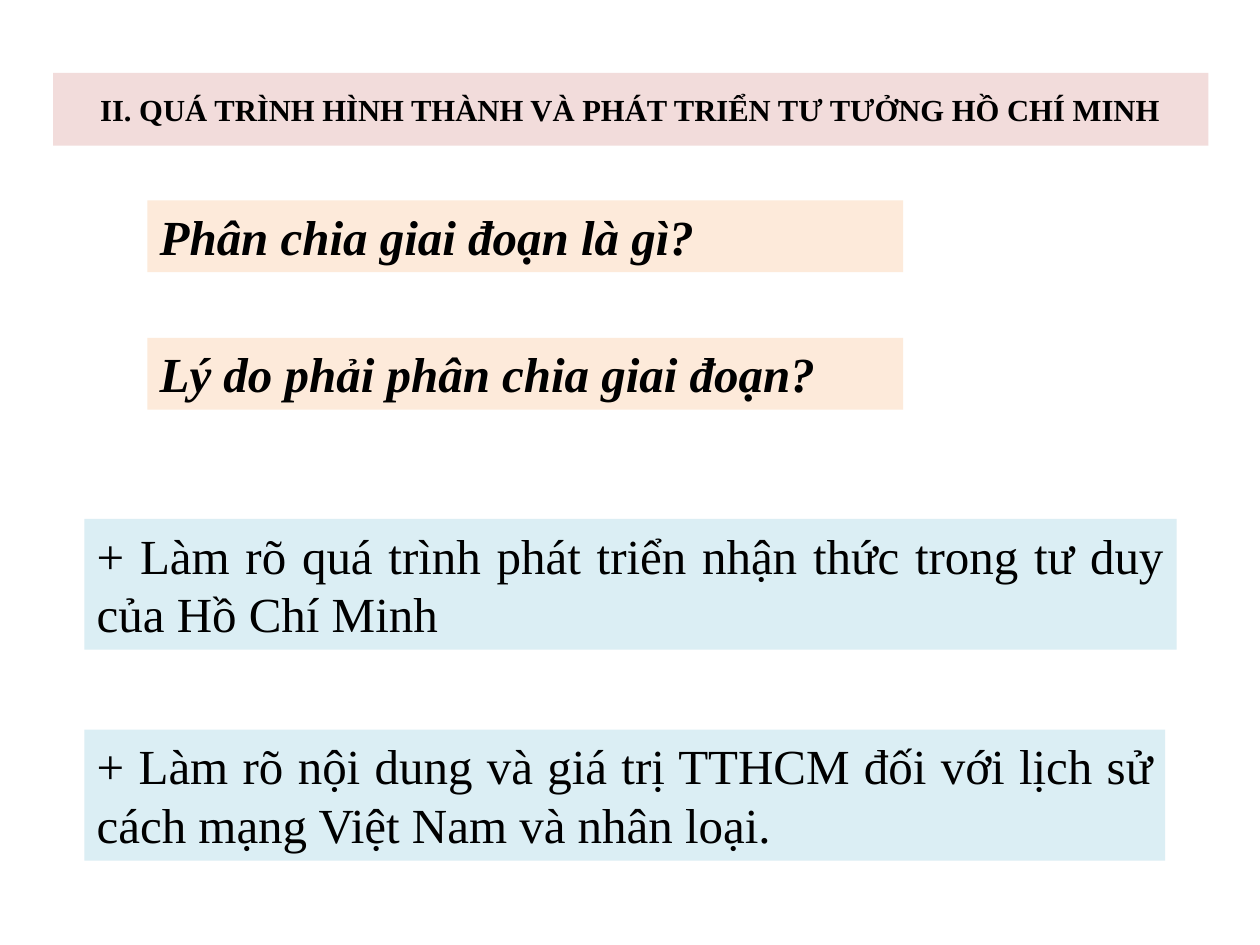
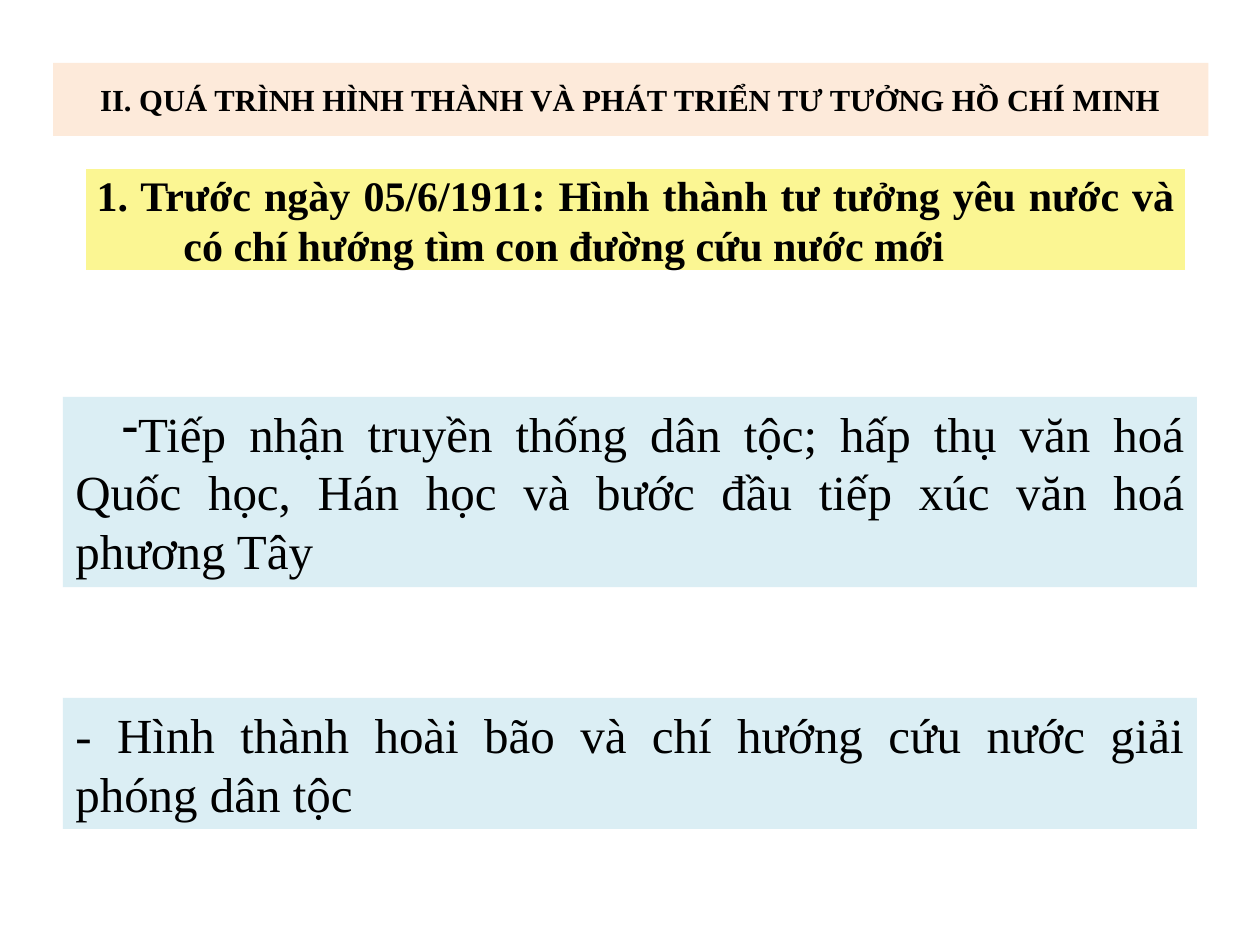
import pptx
import pptx.util
import pptx.dml.color
import pptx.enum.shapes
import pptx.enum.text
import lxml.etree
from pptx.util import Cm

PINK = "F2DCDB"
PEACH = "FDEADA"
BLUE = "DBEEF4"
YELLOW = "FBF693"
WHITE = "FFFFFF"
BLACK = "000000"

FONT = "Times New Roman"
TITLE = "II. QUÁ TRÌNH HÌNH THÀNH VÀ PHÁT TRIỂN TƯ TƯỞNG HỒ CHÍ MINH"

ALIGN = pptx.enum.text.PP_ALIGN
ANCHOR = pptx.enum.text.MSO_ANCHOR
FIT = pptx.enum.text.MSO_AUTO_SIZE


def color(code):
    return pptx.dml.color.RGBColor.from_string(code)


class Deck:
    def __init__(self):
        self.prs = pptx.Presentation()
        self.prs.slide_width = Cm(25.4)
        self.prs.slide_height = Cm(19.05)
        self.slide = None

    def page(self):
        self.slide = self.prs.slides.add_slide(self.prs.slide_layouts[6])

    def box(self, text, area, fill, size=28, align=ALIGN.JUSTIFY,
            anchor=ANCHOR.TOP, grow=True, bold=False, slant=False):
        shape = self.slide.shapes.add_shape(
            pptx.enum.shapes.MSO_SHAPE.RECTANGLE, *map(Cm, area))
        shape.shadow.inherit = False
        shape.fill.solid()
        shape.fill.fore_color.rgb = color(fill)
        shape.line.fill.background()
        frame = shape.text_frame
        frame.word_wrap = True
        frame.auto_size = FIT.SHAPE_TO_FIT_TEXT if grow else FIT.NONE
        frame.vertical_anchor = anchor
        frame.text = text
        para = frame.paragraphs[0]
        para.alignment = align
        font = para.runs[0].font
        font.name = FONT
        font.size = pptx.util.Pt(size)
        font.bold = bold
        font.italic = slant
        font.color.rgb = color(BLACK)
        return shape

    def title(self, top, fill):
        self.box(TITLE, (1.07, top, 23.29, 1.47), fill, 17.5,
                 ALIGN.CENTER, ANCHOR.MIDDLE, grow=False, bold=True)

    def ask(self, text, top):
        self.box(text, (2.97, top, 15.24, 1.45), PEACH,
                 align=ALIGN.LEFT, bold=True, slant=True)

    def point(self, text, area, anchor=ANCHOR.TOP):
        return self.box(text, area, BLUE, anchor=anchor)

    def dash(self, text, area):
        shape = self.point(text, area)
        self.indent(shape, 0, 0.94)
        props = shape.text_frame.paragraphs[0]._p.get_or_add_pPr()
        mark = lxml.etree.SubElement(props, pptx.oxml.ns.qn("a:buChar"))
        mark.set("char", "-")

    def head(self, text, area):
        shape = self.box(text, area, YELLOW, 24, anchor=ANCHOR.MIDDLE,
                         grow=False, bold=True)
        shape.line.color.rgb = color(WHITE)
        shape.line.width = pptx.util.Pt(2)
        shape.text_frame.paragraphs[0].level = 1
        self.indent(shape, 1.75, -1.75)

    def indent(self, shape, left, first):
        props = shape.text_frame.paragraphs[0]._p.get_or_add_pPr()
        props.set("marL", str(Cm(left)))
        props.set("indent", str(Cm(first)))


def main():
    deck = Deck()

    deck.page()
    deck.title(1.47, PINK)
    deck.ask("Phân chia giai đoạn là gì?", 4.04)
    deck.ask("Lý do phải phân chia giai đoạn?", 6.81)
    deck.point("+ Làm rõ quá trình phát triển nhận thức trong tư duy "
               "của Hồ Chí Minh", (1.7, 10.46, 22.02, 2.64))
    deck.point("+ Làm rõ nội dung và giá trị TTHCM đối với lịch sử "
               "cách mạng Việt Nam và nhân loại.",
               (1.7, 14.71, 21.79, 2.64))

    deck.page()
    deck.title(1.27, PEACH)
    deck.head("1. Trước ngày 05/6/1911: Hình thành tư tưởng yêu nước và "
              "có chí hướng tìm con đường cứu nước mới",
              (1.7, 3.38, 22.23, 2.11))
    deck.dash("Tiếp nhận truyền thống dân tộc; hấp thụ văn hoá Quốc học, "
              "Hán học và bước đầu tiếp xúc văn hoá phương Tây",
              (1.27, 8, 22.86, 3.84))
    deck.point("- Hình thành hoài bão và chí hướng cứu nước giải phóng "
               "dân tộc", (1.27, 14.07, 22.86, 2.64), ANCHOR.MIDDLE)

    deck.prs.save("out.pptx")


if __name__ == "__main__":
    main()
